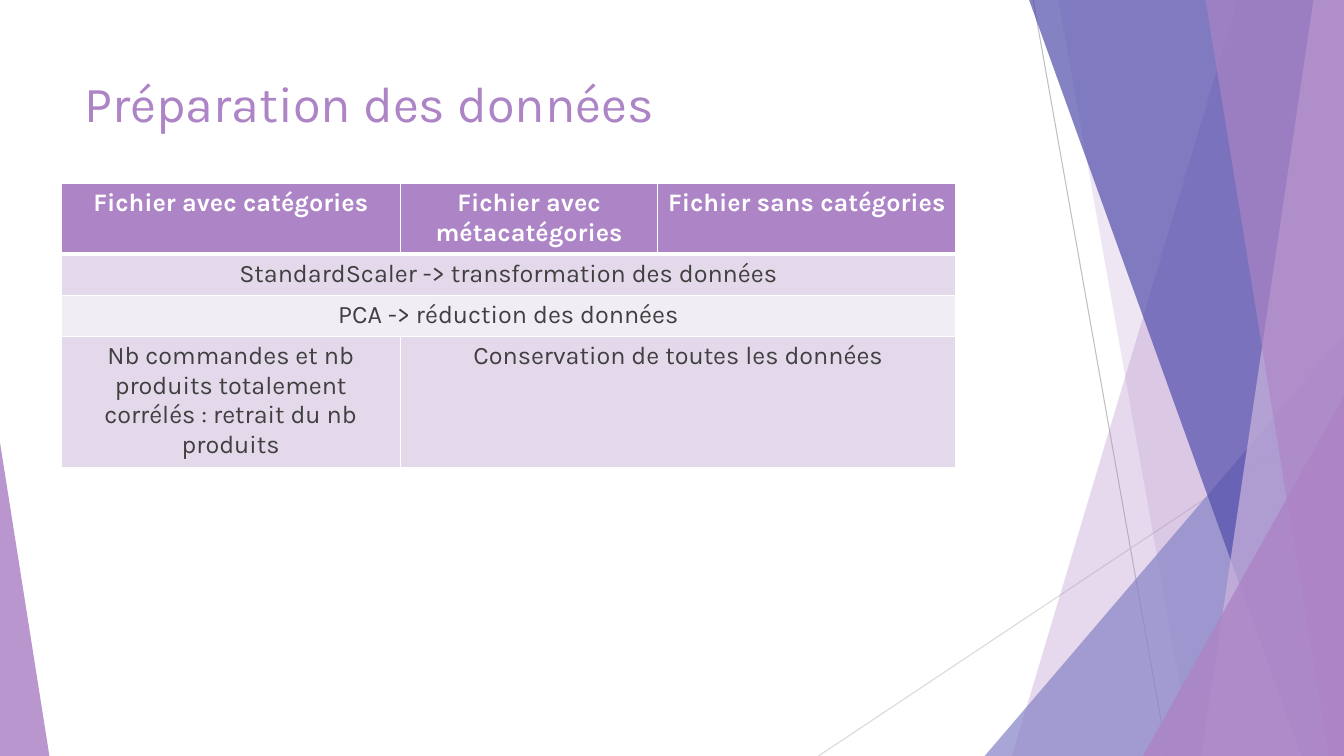
import dataclasses

import lxml.etree
import pptx
import pptx.dml.color
import pptx.enum.shapes
import pptx.enum.text
import pptx.oxml.ns
import pptx.shapes.autoshape
import pptx.slide
import pptx.table
import pptx.text.text
import pptx.util

Pt = pptx.util.Pt
qn = pptx.oxml.ns.qn

WIDTH, HEIGHT = 960, 540
FONT = "Karla"
PURPLE, WHITE, DARK = "AD84C6", "FFFFFF", "404040"
TINT, PALE_TINT = "E3D9EA", "F1EDF5"


@dataclasses.dataclass
class Ray:
    start: tuple[float, float]
    end: tuple[float, float]
    color: str


@dataclasses.dataclass
class Band:
    """Area between a slanted left edge and the right side of the slide."""
    top_x: float
    bottom_x: float
    color: str
    opacity: int


@dataclasses.dataclass
class Corner:
    """Triangle standing on the bottom of the slide."""
    left: float
    top: float
    width: float
    apex: float
    color: str
    opacity: int


@dataclasses.dataclass
class Entry:
    row: int
    column: int
    text: str
    fill: str
    span: int = 1


RAYS = [
    Ray((738, 0), (833.8, HEIGHT), "BFBFBF"),
    Ray((WIDTH, 290.2), (584.6, HEIGHT), "D9D9D9"),
]
DECORATION = [
    Band(884.2, 722.9, PURPLE, 30),
    Band(756, 851.8, PURPLE, 20),
    Corner(703.4, 239.8, 256.6, 1, "8784C7", 72),
    Band(735.1, 929.5, "524EAB", 70),
    Band(938.2, 858.2, "CEB5DD", 70),
    Band(861.1, 949, PURPLE, 65),
    Corner(816.5, 283, 143.5, 1, PURPLE, 80),
    Corner(0, 316.1, 35.3, 0, PURPLE, 85),
]
COLUMN_WIDTHS = [242.6, 183.6, 213.1]
ROW_HEIGHTS = [48.6, 29.3, 29.3, 91]
ENTRIES = [
    Entry(0, 0, "Fichier avec catégories", PURPLE),
    Entry(0, 1, "Fichier avec métacatégories", PURPLE),
    Entry(0, 2, "Fichier sans catégories", PURPLE),
    Entry(1, 0, "StandardScaler -> transformation des données", TINT, 3),
    Entry(2, 0, "PCA -> réduction des données", PALE_TINT, 3),
    Entry(3, 0, "Nb commandes et nb produits totalement corrélés : retrait du nb produits", TINT),
    Entry(3, 1, "Conservation de toutes les données", TINT, 2),
]


def rgb(color: str) -> pptx.dml.color.RGBColor:
    return pptx.dml.color.RGBColor.from_string(color)


def add_run(paragraph: pptx.text.text._Paragraph, text: str, size: float,
            color: str, bold: bool = False) -> None:
    run = paragraph.add_run()
    run.text = text
    run.font.name = FONT
    run.font.size = Pt(size)
    run.font.bold = bold
    run.font.color.rgb = rgb(color)


def paint(shape: pptx.shapes.autoshape.Shape, color: str, opacity: int) -> None:
    shape.shadow.inherit = False
    shape.line.fill.background()
    shape.fill.solid()
    shape.fill.fore_color.rgb = rgb(color)
    color_element = shape.element.spPr.find(qn("a:solidFill")).find(qn("a:srgbClr"))
    lxml.etree.SubElement(color_element, qn("a:alpha"), val=str(opacity * 1000))


def draw_ray(slide: pptx.slide.Slide, ray: Ray) -> None:
    connector = slide.shapes.add_connector(
        pptx.enum.shapes.MSO_CONNECTOR.STRAIGHT,
        *(Pt(value) for value in (*ray.start, *ray.end)))
    connector.line.color.rgb = rgb(ray.color)
    connector.line.width = Pt(0.75)
    lxml.etree.SubElement(connector.element.spPr, qn("a:effectLst"))


def draw_band(slide: pptx.slide.Slide, band: Band) -> None:
    builder = slide.shapes.build_freeform(Pt(band.top_x), 0)
    corners = [(WIDTH, 0), (WIDTH, HEIGHT), (band.bottom_x, HEIGHT)]
    builder.add_line_segments([(Pt(x), Pt(y)) for x, y in corners], close=True)
    paint(builder.convert_to_shape(), band.color, band.opacity)


def draw_corner(slide: pptx.slide.Slide, corner: Corner) -> None:
    shape = slide.shapes.add_shape(
        pptx.enum.shapes.MSO_SHAPE.ISOSCELES_TRIANGLE, Pt(corner.left),
        Pt(corner.top), Pt(corner.width), Pt(HEIGHT - corner.top))
    shape.adjustments[0] = corner.apex
    paint(shape, corner.color, corner.opacity)


def add_title(slide: pptx.slide.Slide, text: str) -> None:
    frame = slide.shapes.add_textbox(Pt(53.3), Pt(48), Pt(676.8), Pt(104)).text_frame
    frame.word_wrap = True
    add_run(frame.paragraphs[0], text, 36, PURPLE)


def set_borders(cell: pptx.table._Cell, row: int) -> None:
    """White rules, thicker under the header row."""
    widths = {"L": 1, "R": 1, "T": 3 if row == 1 else 1, "B": 3 if row == 0 else 1}
    properties = cell._tc.get_or_add_tcPr()
    for side, width in widths.items():
        line = lxml.etree.SubElement(properties, qn(f"a:ln{side}"), w=str(Pt(width)))
        fill = lxml.etree.SubElement(line, qn("a:solidFill"))
        lxml.etree.SubElement(fill, qn("a:srgbClr"), val=WHITE)


def fill_entry(table: pptx.table.Table, entry: Entry) -> None:
    last_column = entry.column + entry.span - 1
    for column in range(entry.column, last_column + 1):
        cell = table.cell(entry.row, column)
        set_borders(cell, entry.row)
        cell.fill.solid()
        cell.fill.fore_color.rgb = rgb(entry.fill)
    first_cell = table.cell(entry.row, entry.column)
    if entry.span > 1:
        first_cell.merge(table.cell(entry.row, last_column))
    paragraph = first_cell.text_frame.paragraphs[0]
    paragraph.alignment = pptx.enum.text.PP_ALIGN.CENTER
    is_header = entry.row == 0
    add_run(paragraph, entry.text, 18, WHITE if is_header else DARK, is_header)


def add_preparation_table(slide: pptx.slide.Slide) -> None:
    table = slide.shapes.add_table(
        len(ROW_HEIGHTS), len(COLUMN_WIDTHS), Pt(43.5), Pt(131.2),
        Pt(sum(COLUMN_WIDTHS)), Pt(sum(ROW_HEIGHTS))).table
    for column, width in zip(table.columns, COLUMN_WIDTHS):
        column.width = Pt(width)
    for row, height in zip(table.rows, ROW_HEIGHTS):
        row.height = Pt(height)
    for entry in ENTRIES:
        fill_entry(table, entry)


def main() -> None:
    presentation = pptx.Presentation()
    presentation.slide_width = Pt(WIDTH)
    presentation.slide_height = Pt(HEIGHT)
    slide = presentation.slides.add_slide(presentation.slide_layouts[6])
    for ray in RAYS:
        draw_ray(slide, ray)
    for part in DECORATION:
        if isinstance(part, Band):
            draw_band(slide, part)
        else:
            draw_corner(slide, part)
    add_title(slide, "Préparation des données")
    add_preparation_table(slide)
    presentation.save("out.pptx")


if __name__ == "__main__":
    main()
